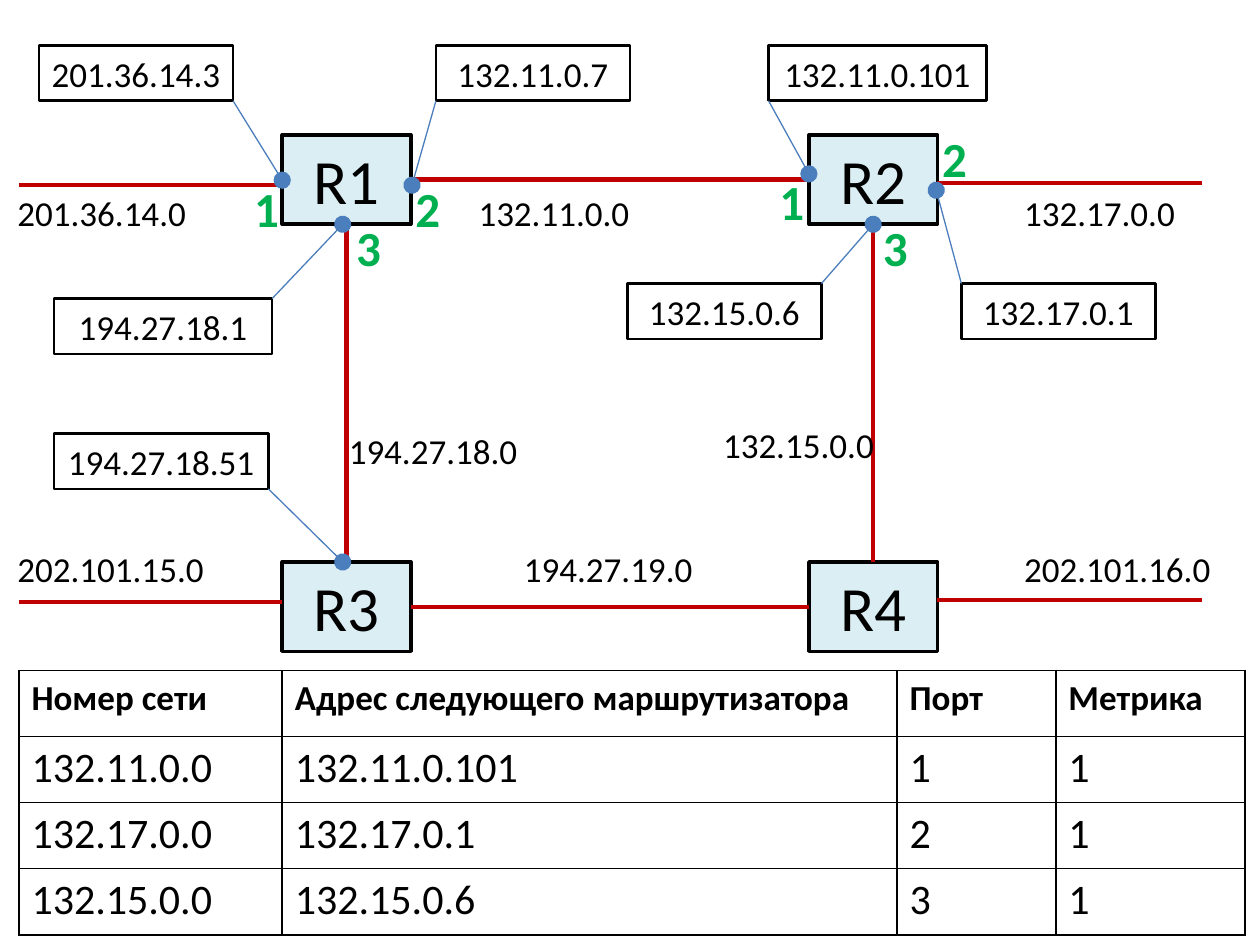
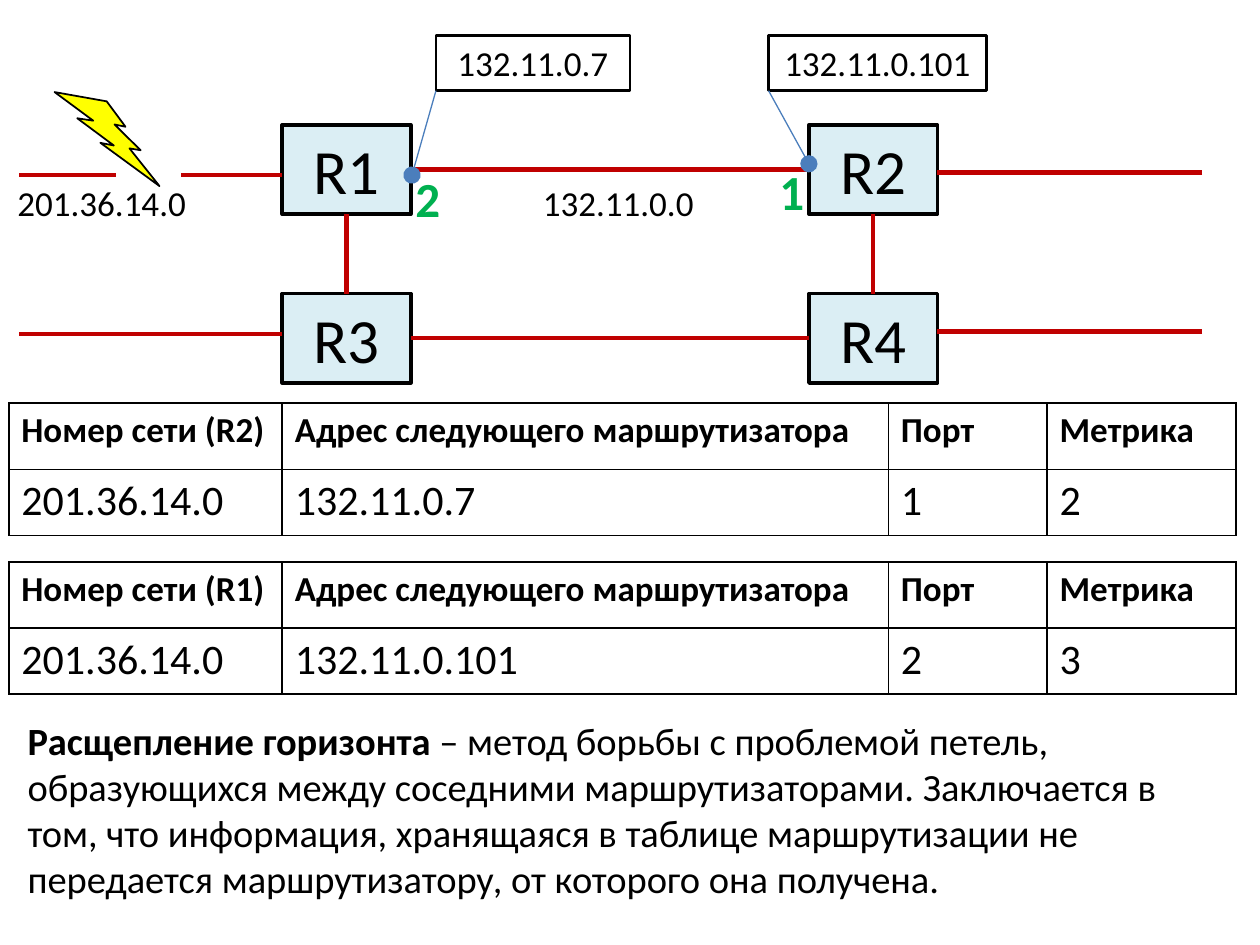
import dataclasses

import pptx
import pptx.dml.color
import pptx.enum.shapes
import pptx.enum.text
import pptx.oxml.ns
import pptx.util
from lxml import etree

Inches = pptx.util.Inches
Pt = pptx.util.Pt
SHAPES = pptx.enum.shapes.MSO_SHAPE
ALIGN = pptx.enum.text.PP_ALIGN
ANCHOR = pptx.enum.text.MSO_ANCHOR

FONT = "Calibri"
BLACK = "000000"
ROUTER_FILL = "DBEEF4"
LINK = "C00000"
POINTER = "4B7EBC"
PORT = "00B050"
BOLT = "FFFF00"

ROUTER_COLUMNS = (2.09, 6.27)
ROUTER_WIDTH, ROUTER_HEIGHT = 1.02, 0.71
LABEL_HEIGHT = 0.44
ROW_HEIGHT = 0.525
HEADINGS = ("Адрес следующего маршрутизатора", "Порт", "Метрика")


@dataclasses.dataclass
class Region:
    """A box on a slide whose parts are placed from its top left corner."""

    slide: object
    left: float
    top: float
    width: float
    height: float

    def place(self, x, y):
        """Return slide lengths for a point of the region."""
        return Inches(self.left + x), Inches(self.top + y)


def color(hex_string):
    """Return the colour for a hex string."""
    return pptx.dml.color.RGBColor.from_string(hex_string)


def add_xml(parent, tag, **attributes):
    """Append a drawing element and return it."""
    return etree.SubElement(parent, pptx.oxml.ns.qn(tag), attributes)


def style_font(font, size, hex_string=BLACK, bold=False):
    """Set the face, size, colour and weight of a font."""
    font.name = FONT
    font.size = Pt(size)
    font.bold = bold
    font.color.rgb = color(hex_string)


def add_outlined(region, kind, x, y, width, height, fill, weight):
    """Add a preset shape with a black outline."""
    outlined = region.slide.shapes.add_shape(
        kind, *region.place(x, y), Inches(width), Inches(height))
    outlined.shadow.inherit = False
    if fill:
        outlined.fill.solid()
        outlined.fill.fore_color.rgb = color(fill)
    else:
        outlined.fill.background()
    outlined.line.color.rgb = color(BLACK)
    outlined.line.width = Pt(weight)
    return outlined


def write_centered(frame, text, size, hex_string=BLACK, bold=False):
    """Fill a text frame with one centred line and no side margins."""
    frame.word_wrap = True
    frame.margin_left = frame.margin_right = 0
    frame.text = text
    frame.paragraphs[0].alignment = ALIGN.CENTER
    style_font(frame.paragraphs[0].runs[0].font, size, hex_string, bold)


def add_line(region, start, end, hex_string, weight):
    """Add a straight line between two points of the region."""
    line = region.slide.shapes.add_connector(
        pptx.enum.shapes.MSO_CONNECTOR.STRAIGHT,
        *region.place(*start), *region.place(*end))
    line.line.color.rgb = color(hex_string)
    line.line.width = Pt(weight)
    add_xml(line._element.spPr, "a:effectLst")
    return line


def add_link(region, start, end):
    """Add a network link."""
    add_line(region, start, end, LINK, 2.5)


def add_network(region, gap=None):
    """Draw four routers and their links, with an optional break in the first."""
    lower = region.height - ROUTER_HEIGHT
    names = iter(("R1", "R2", "R3", "R4"))
    for y in (0, lower):
        for x in ROUTER_COLUMNS:
            router = add_outlined(region, SHAPES.RECTANGLE, x, y,
                                  ROUTER_WIDTH, ROUTER_HEIGHT, ROUTER_FILL, 2)
            write_centered(router.text_frame, next(names), 36)
    first, second = ROUTER_COLUMNS
    for x in ROUTER_COLUMNS:
        middle = x + ROUTER_WIDTH / 2
        add_link(region, (middle, ROUTER_HEIGHT), (middle, lower))
    for y, west, east in ((0, 0.4, 0.38), (lower, 0.32, 0.3)):
        middle = y + ROUTER_HEIGHT / 2
        add_link(region, (second, middle), (first + ROUTER_WIDTH, middle))
        add_link(region, (region.width, y + east), (second + ROUTER_WIDTH, y + east))
        west_start = 0
        if gap and y == 0:
            add_link(region, (gap[0], west), (0, west))
            west_start = gap[1]
        add_link(region, (first, y + west), (west_start, y + west))


def add_callout(region, address, x, y, width, corner, port):
    """Add an address box with a pointer from one corner to a router port."""
    address_box = add_outlined(region, SHAPES.RECTANGLE, x, y,
                               width, LABEL_HEIGHT, None, 1.5)
    write_centered(address_box.text_frame, address, 20)
    start = (x + width * ("right" in corner), y + LABEL_HEIGHT * ("bottom" in corner))
    pointer = add_line(region, start, port, POINTER, 0.75)
    add_xml(pointer.line._get_or_add_ln(), "a:tailEnd", type="oval", w="lg", len="lg")


def add_network_number(region, number, x, y, width=1.7):
    """Label a link with its network number."""
    label = region.slide.shapes.add_textbox(
        *region.place(x, y), Inches(width), Inches(LABEL_HEIGHT))
    label.text_frame.word_wrap = True
    label.text_frame.text = number
    style_font(label.text_frame.paragraphs[0].runs[0].font, 20)


def add_port(region, number, x, y):
    """Label a router port with its number."""
    label = region.slide.shapes.add_textbox(
        *region.place(x, y), Inches(0.37), Inches(0.57))
    write_centered(label.text_frame, number, 28, PORT, True)


def add_shared_addresses(region):
    """Label the link from R1 to R2 at both ends."""
    add_network_number(region, "201.36.14.0", -0.11, 0.4)
    add_callout(region, "132.11.0.7", 3.31, -0.71, 1.54, "bottom left", (3.12, 0.4))
    add_callout(region, "132.11.0.101", 5.95, -0.71, 1.73, "bottom left", (6.27, 0.31))
    add_port(region, "2", 3.06, 0.3)
    add_port(region, "1", 5.95, 0.24)


def add_full_addresses(region):
    """Label all other networks, interfaces and ports."""
    for number, x, y, width in (
            ("132.11.0.0", 3.55, 0.4, 1.7), ("132.17.0.0", 7.88, 0.4, 1.7),
            ("202.101.16.0", 7.88, 3.23, 1.7), ("194.27.19.0", 3.91, 3.23, 1.7),
            ("202.101.15.0", -0.11, 3.23, 1.7), ("194.27.18.0", 2.52, 2.29, 1.54),
            ("132.15.0.0", 5.49, 2.24, 1.41)):
        add_network_number(region, number, x, y, width)
    for address, x, y, width, corner, port in (
            ("201.36.14.3", 0.16, -0.71, 1.54, "bottom right", (2.09, 0.36)),
            ("194.27.18.1", 0.28, 1.3, 1.73, "top right", (2.57, 0.71)),
            ("132.15.0.6", 4.83, 1.18, 1.54, "top right", (6.78, 0.71)),
            ("132.17.0.1", 7.48, 1.18, 1.54, "top left", (7.28, 0.44)),
            ("194.27.18.51", 0.28, 2.37, 1.7, "bottom right", (2.57, 3.39))):
        add_callout(region, address, x, y, width, corner, port)
    for number, x, y in (("1", 1.78, 0.3), ("3", 2.59, 0.61),
                         ("3", 6.77, 0.61), ("2", 7.24, -0.1)):
        add_port(region, number, x, y)


def style_cell(cell, text, size, bold):
    """Write a cell and give it plain black borders."""
    cell.fill.background()
    cell.text = text
    style_font(cell.text_frame.paragraphs[0].runs[0].font, size, bold=bold)
    properties = cell._tc.get_or_add_tcPr()
    for index, side in enumerate(("a:lnL", "a:lnR", "a:lnT", "a:lnB")):
        border = etree.Element(pptx.oxml.ns.qn(side), w=str(Pt(1)))
        add_xml(add_xml(border, "a:solidFill"), "a:srgbClr", val=BLACK)
        properties.insert(index, border)


def add_routes(region, network_heading, widths, routes):
    """Add a routing table that fills the region."""
    rows = [(network_heading, *HEADINGS), *routes]
    table = region.slide.shapes.add_table(
        len(rows), len(widths), *region.place(0, 0),
        Inches(region.width), Inches(region.height)).table
    table.first_row = table.horz_banding = False
    for column, width in zip(table.columns, widths):
        column.width = Inches(width)
    for row_index, row in enumerate(rows):
        table.rows[row_index].height = Inches(region.height / len(rows))
        heading = row_index == 0
        for column_index, text in enumerate(row):
            style_cell(table.cell(row_index, column_index), text,
                       20 if heading else 24, heading)


def add_definition(region, term, meaning):
    """Write a bold term followed by its meaning."""
    definition = region.slide.shapes.add_textbox(
        *region.place(0, 0), Inches(region.width), Inches(region.height))
    definition.text_frame.word_wrap = True
    paragraph = definition.text_frame.paragraphs[0]
    for text, bold in ((term, True), (meaning, False)):
        run = paragraph.add_run()
        run.text = text
        style_font(run.font, 22, bold=bold)


def build_routing_slide(slide):
    """Show the whole network and the routing table of R1."""
    network = Region(slide, 0.15, 1.07, 9.39, 4.1)
    add_network(network)
    add_shared_addresses(network)
    add_full_addresses(network)
    add_routes(Region(slide, 0.15, 5.32, 9.73, 4 * ROW_HEIGHT),
               "Номер сети", (2.09, 4.88, 1.26, 1.5),
               (("132.11.0.0", "132.11.0.101", "1", "1"),
                ("132.17.0.0", "132.17.0.1", "2", "1"),
                ("132.15.0.0", "132.15.0.6", "3", "1")))


def build_split_horizon_slide(slide):
    """Show a broken link, the looping routes and the remedy."""
    network = Region(slide, 0.15, 0.99, 9.39, 2.05)
    add_network(network, gap=(0.77, 1.29))
    add_shared_addresses(network)
    add_network_number(network, "132.11.0.0", 4.06, 0.4, 1.42)
    bolt = add_outlined(network, SHAPES.LIGHTNING_BOLT, 0.19, -0.16, 1.05, 0.47, BOLT, 1)
    bolt.rotation = 21.7
    for top, router, route in (
            (3.2, "R2", ("201.36.14.0", "132.11.0.7", "1", "2")),
            (4.46, "R1", ("201.36.14.0", "132.11.0.101", "2", "3"))):
        add_routes(Region(slide, 0.07, top, 9.73, 2 * ROW_HEIGHT),
                   f"Номер сети ({router})", (2.17, 4.81, 1.26, 1.5), (route,))
    add_definition(
        Region(slide, 0.12, 5.64, 9.69, 1.58), "Расщепление горизонта",
        " – метод борьбы с проблемой петель, образующихся между соседними "
        "маршрутизаторами. Заключается в том, что информация, хранящаяся в таблице "
        "маршрутизации не передается маршрутизатору, от которого она получена.")


def main():
    """Build and save the presentation."""
    presentation = pptx.Presentation()
    presentation.slide_width = Inches(10)
    presentation.slide_height = Inches(7.5)
    for build in (build_routing_slide, build_split_horizon_slide):
        build(presentation.slides.add_slide(presentation.slide_layouts[6]))
    presentation.save("out.pptx")


if __name__ == "__main__":
    main()
